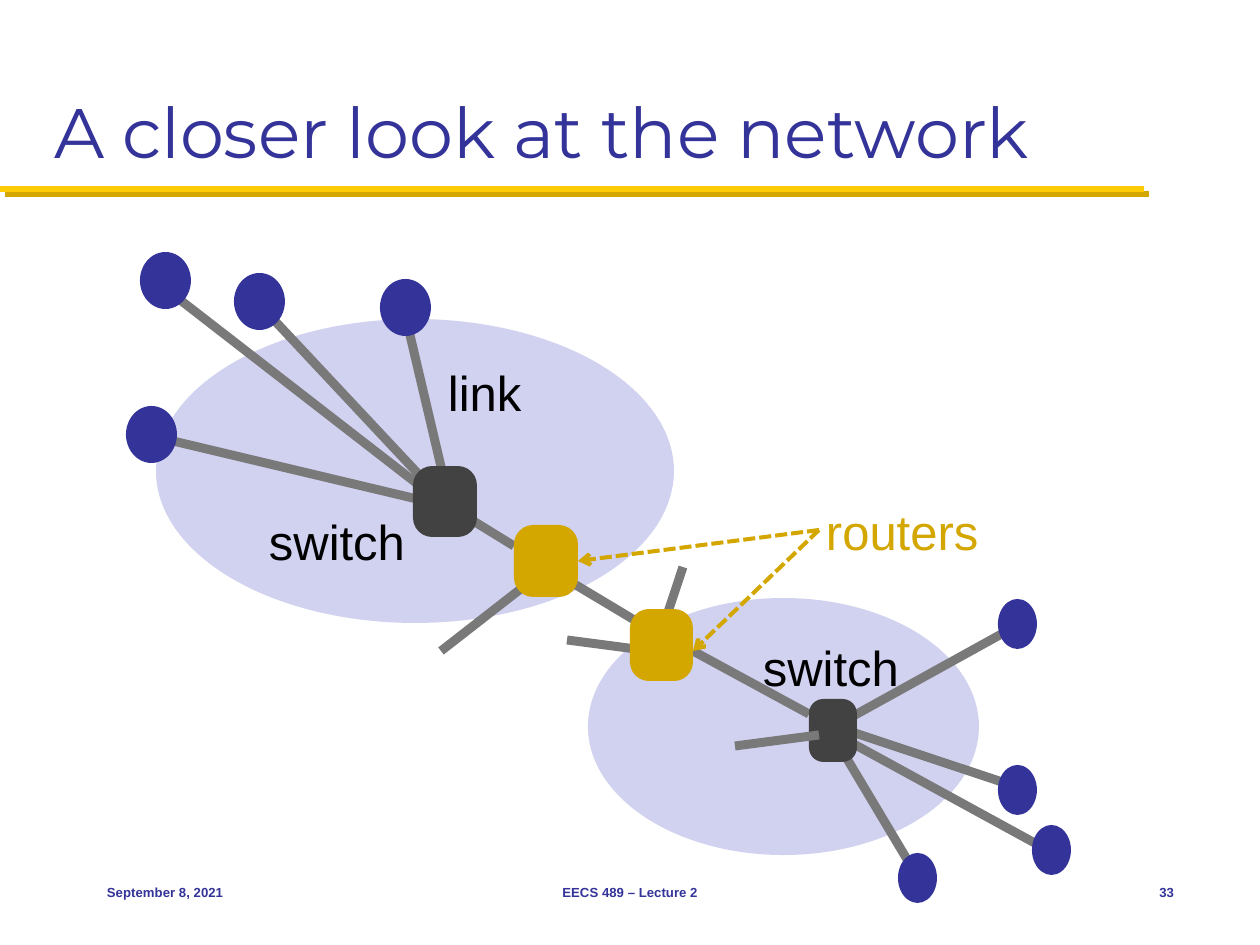
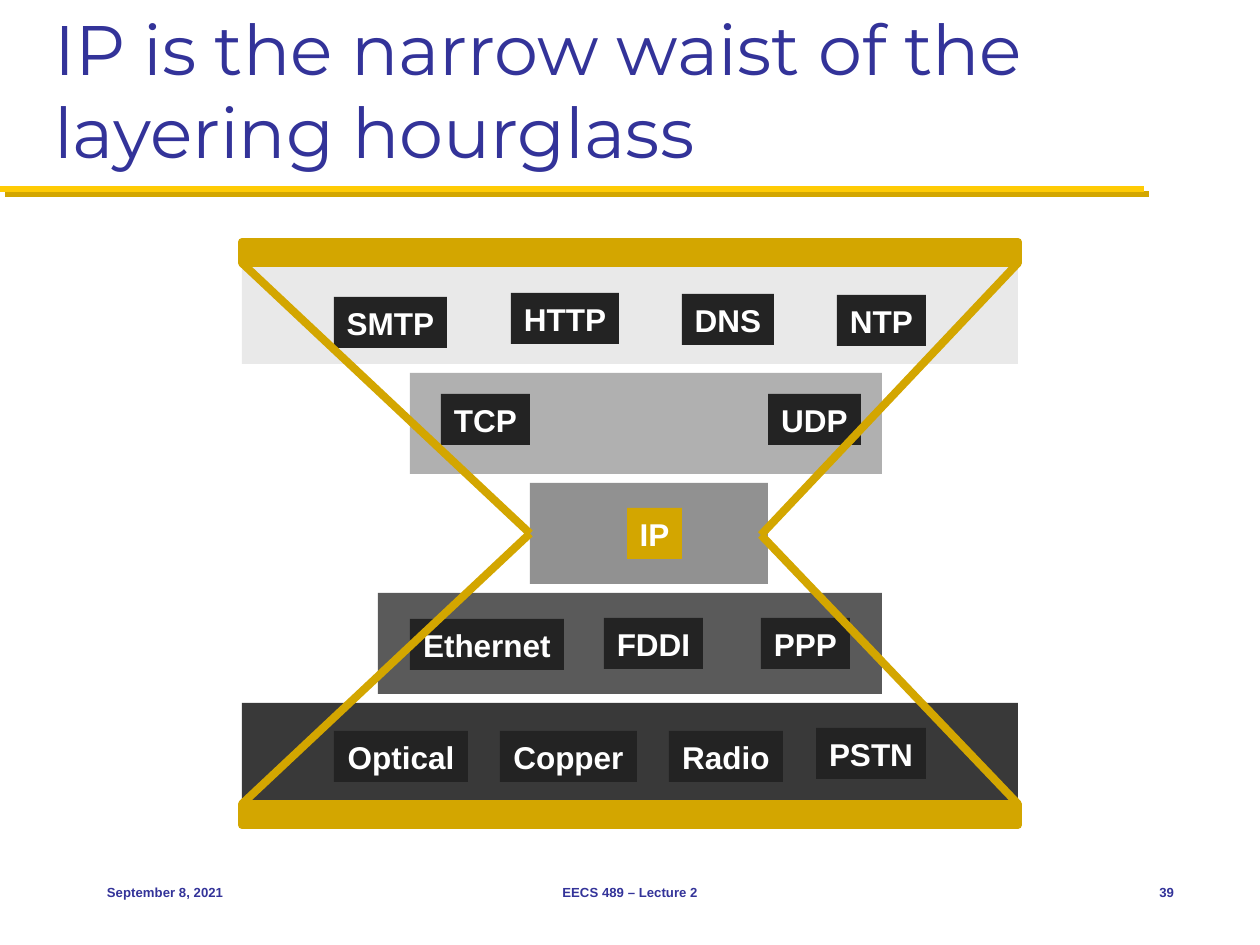
from lxml.etree import SubElement
from pptx import Presentation
from pptx.dml.color import RGBColor
from pptx.enum.dml import MSO_LINE
from pptx.enum.shapes import MSO_CONNECTOR, MSO_SHAPE
from pptx.enum.text import MSO_ANCHOR, PP_ALIGN
from pptx.oxml.ns import qn
from pptx.util import Emu, Pt

NAVY = RGBColor(0x33, 0x33, 0x99)
MAIZE = RGBColor(0xFF, 0xCB, 0x05)
GOLD = RGBColor(0xD3, 0xA6, 0x00)
LILAC = RGBColor(0xD1, 0xD1, 0xF0)
GREY = RGBColor(0x79, 0x79, 0x79)
SLATE = RGBColor(0x42, 0x42, 0x42)
INK = RGBColor(0x23, 0x23, 0x23)
BLACK = RGBColor(0, 0, 0)
WHITE = RGBColor(0xFF, 0xFF, 0xFF)

PAGE = (0, 0, 1260, 945)
NET_BOX = (126, 252, 945, 651)
GLASS_BOX = (242, 242, 776, 583)

LABELS = [
    ("link", 315, 103, 100, BLACK),
    ("switch", 136, 252, 163, BLACK),
    ("switch", 630, 378, 163, BLACK),
    ("routers", 693, 242, 181, GOLD),
]
CLOUDS = [(462, 346, 391, 257), (30, 67, 518, 304)]
BIG_HOSTS = [(0, 154), (14, 0), (108, 21), (254, 27)]
SMALL_HOSTS = [(872, 347), (772, 601), (872, 513), (906, 573)]
LINKS = [
    (280, 66, 325, 257), (26, 184, 312, 252), (40, 37, 307, 244),
    (134, 53, 312, 243), (420, 315, 525, 378), (927, 601, 704, 479),
    (890, 374, 702, 478), (708, 485, 791, 624), (888, 534, 708, 474),
    (567, 399, 683, 462), (388, 294, 336, 262), (410, 325, 315, 399),
    (525, 399, 441, 388), (536, 378, 557, 315),
]
LAYERS = [
    (0, 776, RGBColor(0xE9, 0xE9, 0xE9),
     [("SMTP", 92, 34, 113), ("HTTP", 269, 30, 108),
      ("DNS", 440, 31, 92), ("NTP", 595, 32, 89)]),
    (168, 472, RGBColor(0xB0, 0xB0, 0xB0),
     [("TCP", 199, 21, 89), ("UDP", 526, 21, 93)]),
    (288, 238, RGBColor(0x91, 0x91, 0x91), [("IP", 385, 25, 55)]),
    (136, 504, RGBColor(0x5A, 0x5A, 0x5A),
     [("Ethernet", 168, 26, 154), ("FDDI", 362, 25, 99),
      ("PPP", 519, 25, 89)]),
    (0, 776, RGBColor(0x39, 0x39, 0x39),
     [("Optical", 92, 28, 134), ("Copper", 258, 28, 137),
      ("Radio", 427, 28, 114), ("PSTN", 574, 25, 110)]),
]


def px(count):
    """Turn pixels into EMU."""
    return Emu(round(count * 914400 / 126))


def place(box, x, y, w, h):
    """Turn a rectangle inside a box into slide lengths."""
    return px(box[0] + x), px(box[1] + y), px(w), px(h)


def write(shape, text, size=18, color=BLACK, font="Arial", bold=False,
          align=PP_ALIGN.LEFT, anchor=MSO_ANCHOR.MIDDLE, wrap=True,
          inset=(12, 6)):
    """Put formatted text into a shape."""
    frame = shape.text_frame
    frame.word_wrap = wrap
    frame.vertical_anchor = anchor
    frame.margin_left = frame.margin_right = px(inset[0])
    frame.margin_top = frame.margin_bottom = px(inset[1])
    par = frame.paragraphs[0]
    par.alignment = align
    run = par.add_run()
    run.text = text
    run.font.name, run.font.size, run.font.bold = font, Pt(size), bold
    run.font.color.rgb = color


def label(slide, box, rect, text, **form):
    """Add a text box."""
    write(slide.shapes.add_textbox(*place(box, *rect)), text, **form)


def block(slide, box, rect, fill, kind=MSO_SHAPE.RECTANGLE, edge=0):
    """Add a filled shape, with an edge of its own colour if asked."""
    shape = slide.shapes.add_shape(kind, *place(box, *rect))
    shape.shadow.inherit = False
    shape.fill.solid()
    shape.fill.fore_color.rgb = fill
    if edge:
        shape.line.color.rgb = fill
        shape.line.width = px(edge)
    else:
        shape.line.fill.background()
    if kind == MSO_SHAPE.ROUNDED_RECTANGLE:
        shape.adjustments[0] = 0.3
    return shape


def link(slide, box, ends, color=GREY, width=9, arrow=False, join=None,
         shade=None):
    """Draw a line; join ties its end to a (shape, side) pair."""
    x1, y1, x2, y2 = ends
    line = slide.shapes.add_connector(
        MSO_CONNECTOR.STRAIGHT, px(box[0] + x1), px(box[1] + y1),
        px(box[0] + x2), px(box[1] + y2))
    line.line.color.rgb = color
    line.line.width = px(width)
    props = line._element.spPr
    if arrow:
        line.line.dash_style = MSO_LINE.SQUARE_DOT
        SubElement(props.find(qn("a:ln")), qn("a:tailEnd"), type="arrow",
                   w="med", len="med")
    effects = SubElement(props, qn("a:effectLst"))
    if shade:
        cast = SubElement(effects, qn("a:outerShdw"), dist=str(px(7)),
                          dir="2700000", algn="ctr", rotWithShape="0")
        SubElement(cast, qn("a:srgbClr"), val=str(shade))
    if join:
        line.end_connect(*join)


def frame(deck, box, title, page):
    """Add a slide with its title, shaded rule and footer."""
    slide = deck.slides.add_slide(deck.slide_layouts[6])
    link(slide, box, (0, 189, 1144, 189), color=MAIZE, width=6, shade=GOLD)
    label(slide, box, (42, 21, 1176, 158), title, size=40, color=NAVY,
          font="Montserrat", anchor=MSO_ANCHOR.BOTTOM)
    for text, x, w, align in (
            ("September 8, 2021", 95, 262, PP_ALIGN.LEFT),
            ("EECS 489 – Lecture 2", 430, 400, PP_ALIGN.CENTER),
            (page, 1102, 84, PP_ALIGN.RIGHT)):
        label(slide, box, (x, 861, w, 63), text, size=7.5, color=NAVY,
              bold=True, align=align)
    return slide


def network(slide, box):
    """Draw two clouds of hosts, switches and routers."""
    for cloud in CLOUDS:
        block(slide, box, cloud, LILAC, MSO_SHAPE.OVAL)
    for ends in LINKS:
        link(slide, box, ends)
    for spots, size in ((BIG_HOSTS, (51, 57)), (SMALL_HOSTS, (39, 50))):
        for spot in spots:
            block(slide, box, spot + size, NAVY, MSO_SHAPE.OVAL)
    nodes = [
        block(slide, box, rect, fill, MSO_SHAPE.ROUNDED_RECTANGLE)
        for rect, fill in (((388, 273, 64, 72), GOLD),
                           ((504, 357, 63, 72), GOLD),
                           ((287, 214, 64, 71), SLATE),
                           ((683, 447, 48, 63), SLATE))]
    link(slide, box, (609, 494, 693, 483))
    link(slide, box, (693, 278, 452, 309), color=GOLD, width=4, arrow=True,
         join=(nodes[0], 3))
    link(slide, box, (693, 278, 567, 399), color=GOLD, width=4, arrow=True)
    for text, x, y, w, color in LABELS:
        label(slide, box, (x, y, w, 73), text, size=28, color=color,
              inset=(7, 7))


def hourglass(slide, box):
    """Stack the protocol layers inside an hourglass outline."""
    bands = []
    for row, (x, w, fill, tags) in enumerate(LAYERS):
        top = 21 + 110 * row
        bands.append(block(slide, box, (x, top, w, 101), fill))
        for text, left, drop, wide in tags:
            tag = block(slide, box, (left, top + drop, wide, 51),
                        GOLD if text == "IP" else INK)
            write(tag, text, color=WHITE, bold=True, wrap=False,
                  align=PP_ALIGN.CENTER)
    for y in (21, 562):
        link(slide, box, (0, y, 288, 292), color=GOLD, width=8,
             join=(bands[2], 1))
        link(slide, box, (776, y, 519, 293), color=GOLD, width=8)
    for y in (0, 562):
        block(slide, box, (0, y, 776, 21), GOLD, edge=8)


def main():
    """Build and save the deck."""
    deck = Presentation()
    deck.slide_width, deck.slide_height = px(PAGE[2]), px(PAGE[3])
    network(frame(deck, PAGE, "A closer look at the network", "33"), NET_BOX)
    hourglass(frame(deck, PAGE, "IP is the narrow waist of the layering "
                    "hourglass", "39"), GLASS_BOX)
    deck.save("out.pptx")


if __name__ == "__main__":
    main()
